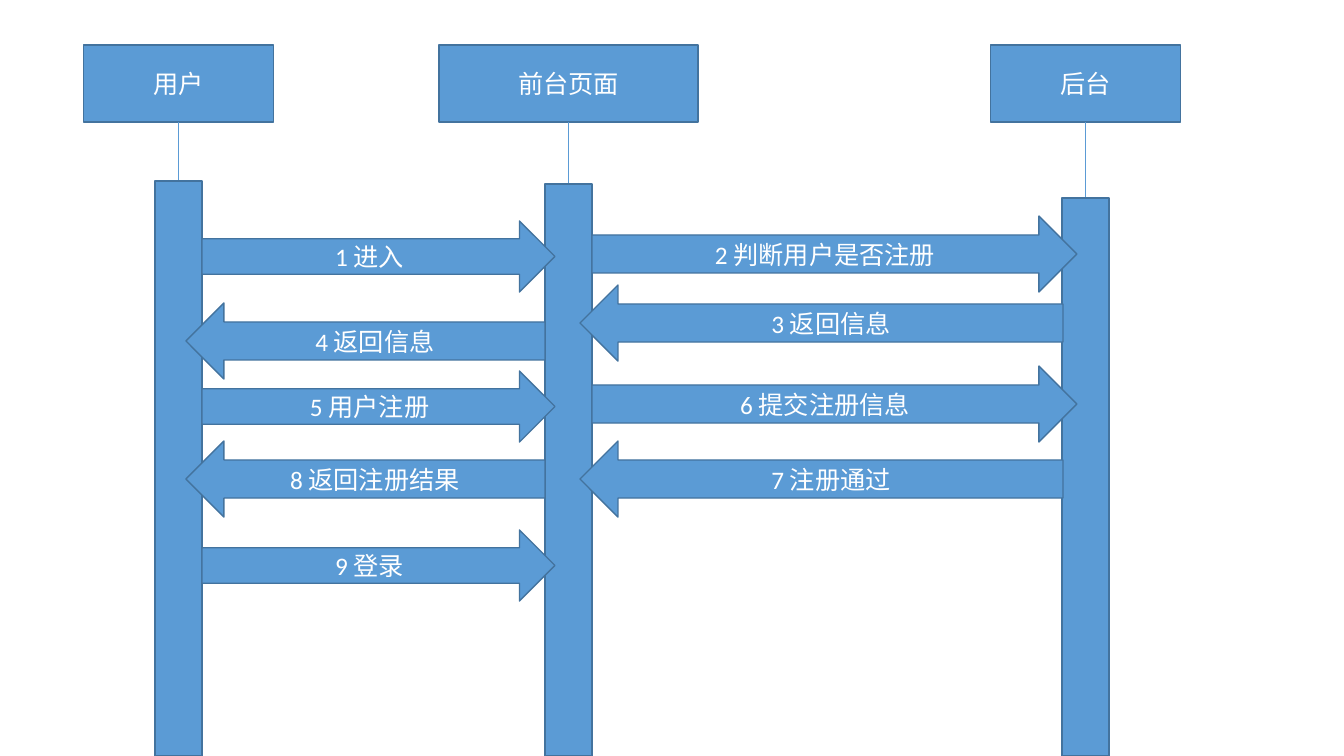
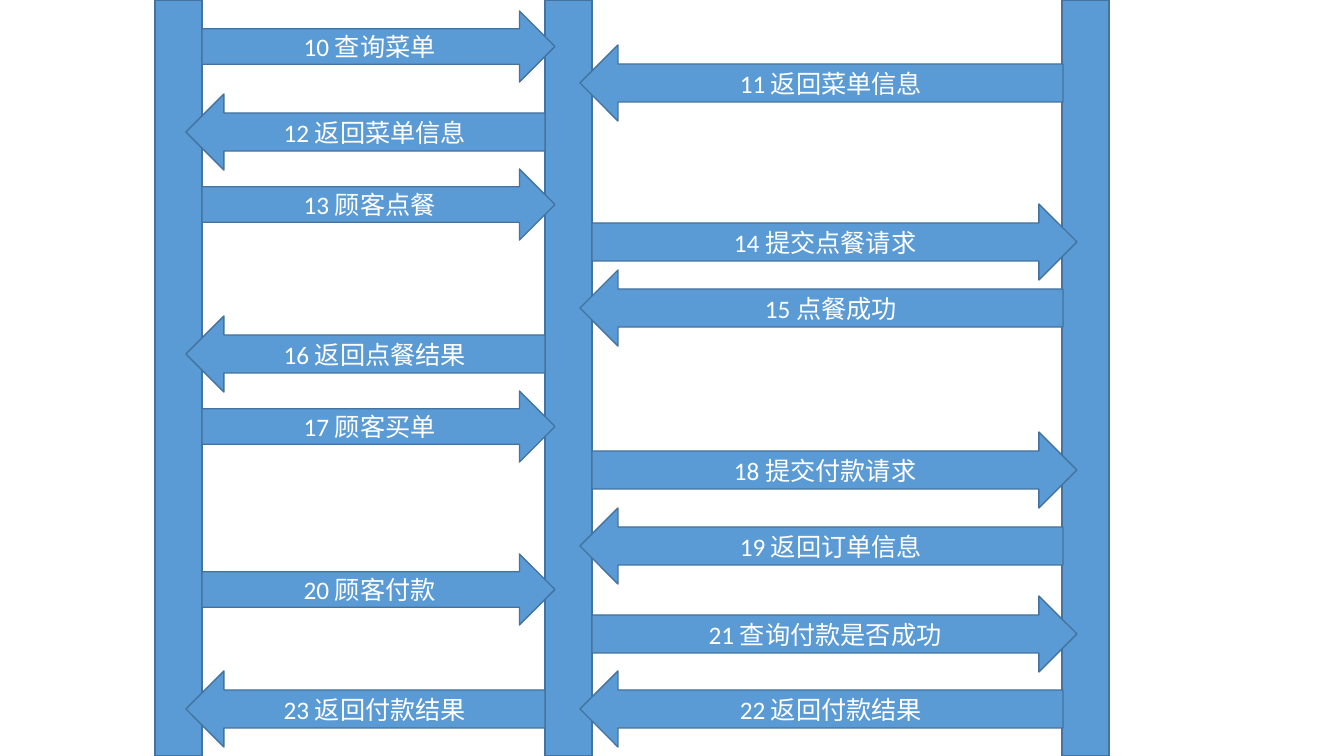
from dataclasses import dataclass

from lxml import etree
from pptx import Presentation
from pptx.dml.color import RGBColor
from pptx.enum.shapes import MSO_CONNECTOR, MSO_SHAPE
from pptx.enum.text import MSO_ANCHOR, PP_ALIGN
from pptx.oxml.ns import qn
from pptx.shapes.autoshape import Shape
from pptx.slide import Slide
from pptx.util import Emu, Pt

RECTANGLE = MSO_SHAPE.RECTANGLE
RIGHT_ARROW = MSO_SHAPE.RIGHT_ARROW
LEFT_ARROW = MSO_SHAPE.LEFT_ARROW
STRAIGHT = MSO_CONNECTOR.STRAIGHT
MIDDLE = MSO_ANCHOR.MIDDLE
CENTER = PP_ALIGN.CENTER

COLORS = {"fill": "5B9BD5", "outline": "43739E", "text": "FFFFFF"}
FONT = "Calibri"
PIXEL = 914400 / 100.8
SLIDE_WIDTH, SLIDE_HEIGHT = 1344, 756
HEAD_TOP, HEAD_HEIGHT = 45, 77
BAR_WIDTH = 47


@dataclass(frozen=True)
class Participant:
    name: str
    bar_left: int
    head_width: int
    bar_top: int  # on the first slide

    @property
    def center(self) -> float:
        return self.bar_left + BAR_WIDTH / 2


@dataclass(frozen=True)
class Route:
    preset: MSO_SHAPE
    left: int
    width: int
    height: int


@dataclass(frozen=True)
class Message:
    text: str
    route: Route
    top: int


PARTICIPANTS = [
    Participant("用户", 155, 190, 181),
    Participant("前台页面", 545, 259, 184),
    Participant("后台", 1062, 190, 198),
]

USER_TO_PAGE = Route(RIGHT_ARROW, 202, 353, 71)
PAGE_TO_USER = Route(LEFT_ARROW, 186, 359, 76)
PAGE_TO_SERVER = Route(RIGHT_ARROW, 592, 485, 76)
SERVER_TO_PAGE = Route(LEFT_ARROW, 580, 483, 76)

REGISTRATION = [
    Message("进入", USER_TO_PAGE, 221),
    Message("判断用户是否注册", PAGE_TO_SERVER, 216),
    Message("返回信息", SERVER_TO_PAGE, 285),
    Message("返回信息", PAGE_TO_USER, 303),
    Message("用户注册", USER_TO_PAGE, 371),
    Message("提交注册信息", PAGE_TO_SERVER, 366),
    Message("注册通过", SERVER_TO_PAGE, 441),
    Message("返回注册结果", PAGE_TO_USER, 441),
    Message("登录", USER_TO_PAGE, 530),
]

ORDERING = [
    Message("查询菜单", USER_TO_PAGE, 11),
    Message("返回菜单信息", SERVER_TO_PAGE, 45),
    Message("返回菜单信息", PAGE_TO_USER, 94),
    Message("顾客点餐", USER_TO_PAGE, 169),
    Message("提交点餐请求", PAGE_TO_SERVER, 204),
    Message("点餐成功", SERVER_TO_PAGE, 270),
    Message("返回点餐结果", PAGE_TO_USER, 316),
    Message("顾客买单", USER_TO_PAGE, 391),
    Message("提交付款请求", PAGE_TO_SERVER, 432),
    Message("返回订单信息", SERVER_TO_PAGE, 508),
    Message("顾客付款", USER_TO_PAGE, 554),
    Message("查询付款是否成功", PAGE_TO_SERVER, 596),
    Message("返回付款结果", SERVER_TO_PAGE, 671),
    Message("返回付款结果", PAGE_TO_USER, 671),
]


def px(length: float) -> Emu:
    return Emu(round(length * PIXEL))


def color(name: str) -> RGBColor:
    return RGBColor.from_string(COLORS[name])


def write_text(shape: Shape, text: str, *, size: float = 18,
               font: str = FONT, ink: str = "text") -> None:
    frame = shape.text_frame
    frame.word_wrap = True
    frame.vertical_anchor = MIDDLE
    paragraph = frame.paragraphs[0]
    paragraph.alignment = CENTER
    run = paragraph.add_run()
    run.text = text
    run.font.name = font
    run.font.size = Pt(size)
    run.font.color.rgb = color(ink)


def add_block(slide: Slide, preset: MSO_SHAPE, left: float, top: float,
              width: float, height: float, text: str = "") -> None:
    shape = slide.shapes.add_shape(preset, px(left), px(top), px(width), px(height))
    shape.shadow.inherit = False
    shape.fill.solid()
    shape.fill.fore_color.rgb = color("fill")
    shape.line.color.rgb = color("outline")
    shape.line.width = Pt(1)
    if text:
        write_text(shape, text)


def add_stem(slide: Slide, x: float, top: float, bottom: float) -> None:
    connector = slide.shapes.add_connector(STRAIGHT, px(x), px(top), px(x), px(bottom))
    connector.line.color.rgb = color("fill")
    connector.line.width = Pt(0.5)
    etree.SubElement(connector._element.spPr, qn("a:effectLst"))


def add_head(slide: Slide, participant: Participant) -> None:
    left = participant.center - participant.head_width / 2
    add_block(slide, RECTANGLE, left, HEAD_TOP, participant.head_width,
              HEAD_HEIGHT, participant.name)
    add_stem(slide, participant.center, HEAD_TOP + HEAD_HEIGHT, participant.bar_top)


def add_bar(slide: Slide, participant: Participant, top: int) -> None:
    add_block(slide, RECTANGLE, participant.bar_left, top, BAR_WIDTH, SLIDE_HEIGHT - top)


def add_messages(slide: Slide, messages: list[Message], first_number: int) -> None:
    for number, message in enumerate(messages, first_number):
        route = message.route
        add_block(slide, route.preset, route.left, message.top, route.width,
                  route.height, f"{number} {message.text}")


presentation = Presentation()
presentation.slide_width = px(SLIDE_WIDTH)
presentation.slide_height = px(SLIDE_HEIGHT)
blank_layout = presentation.slide_layouts[6]

# Registration: heads, lifelines and messages
registration_slide = presentation.slides.add_slide(blank_layout)
for participant in PARTICIPANTS:
    add_head(registration_slide, participant)
    add_bar(registration_slide, participant, participant.bar_top)
add_messages(registration_slide, REGISTRATION, 1)

# Ordering and payment: lifelines continue over the full height
ordering_slide = presentation.slides.add_slide(blank_layout)
for participant in PARTICIPANTS:
    add_bar(ordering_slide, participant, 0)
add_messages(ordering_slide, ORDERING, len(REGISTRATION) + 1)

presentation.save("out.pptx")
